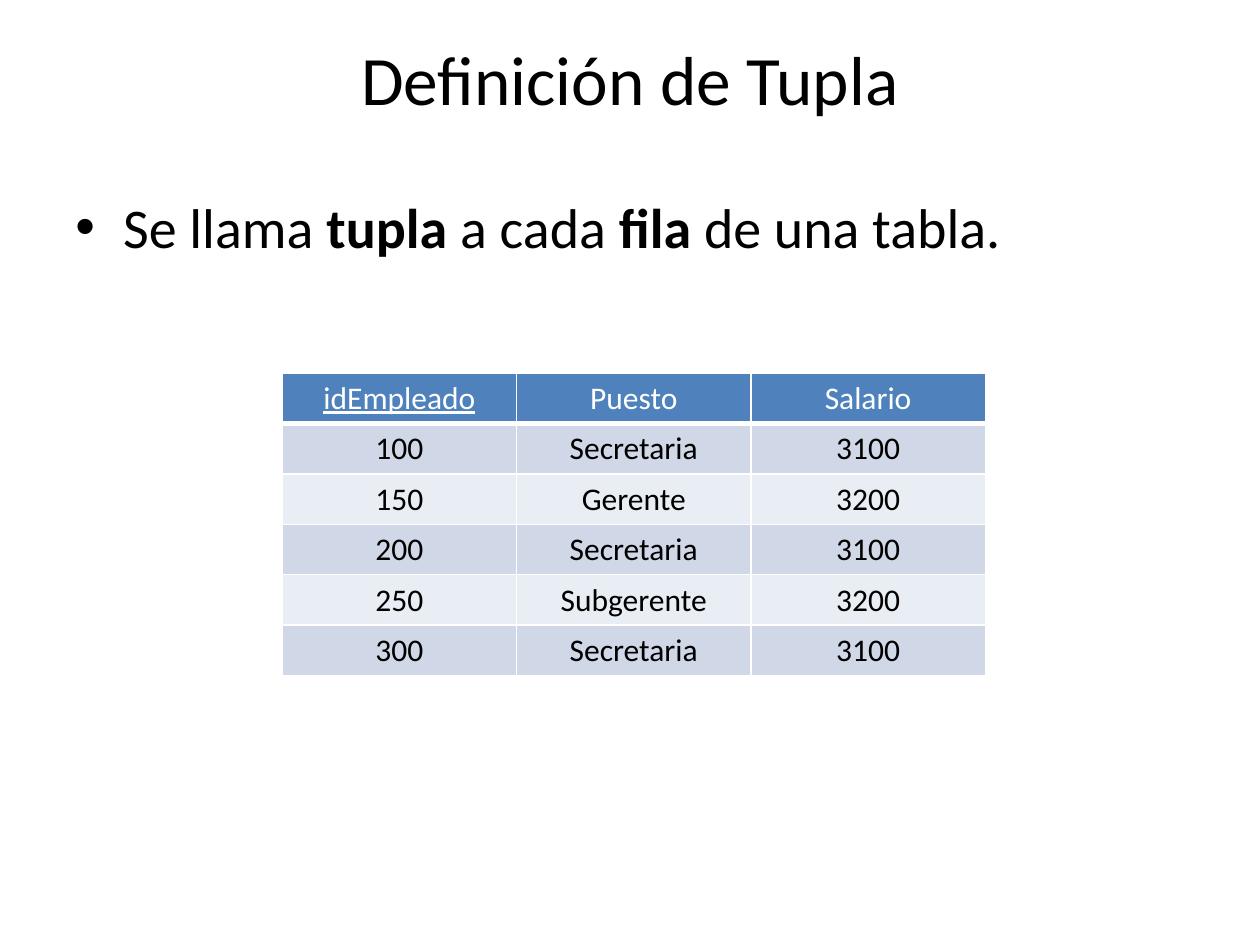
from lxml.etree import SubElement
from pptx import Presentation
from pptx.dml.color import RGBColor
from pptx.enum.text import MSO_ANCHOR, PP_ALIGN
from pptx.oxml.ns import qn
from pptx.util import Inches, Pt

TITLE = "Definición de Tupla"
DEFINITION = [
    ("Se llama ", False),
    ("tupla", True),
    (" a cada ", False),
    ("fila", True),
    (" de una tabla.", False),
]
EMPLOYEES = [
    ("idEmpleado", "Puesto", "Salario"),
    ("100", "Secretaria", "3100"),
    ("150", "Gerente", "3200"),
    ("200", "Secretaria", "3100"),
    ("250", "Subgerente", "3200"),
    ("300", "Secretaria", "3100"),
]
KEY_COLUMN = "idEmpleado"

FONT = "Calibri"
BLACK = RGBColor(0x00, 0x00, 0x00)
WHITE = RGBColor(0xFF, 0xFF, 0xFF)
HEADER_FILL = RGBColor(0x4F, 0x81, 0xBD)
BAND_FILLS = [RGBColor(0xE9, 0xED, 0xF4), RGBColor(0xD0, 0xD8, 0xE8)]
COLUMN_WIDTH = 1.86
ROW_HEIGHT = 0.4


def style_font(paragraph, size, color):
    paragraph.font.name = FONT
    paragraph.font.size = Pt(size)
    paragraph.font.color.rgb = color


def add_text_frame(slide, left, top, width, height):
    box = slide.shapes.add_textbox(Inches(left), Inches(top), Inches(width), Inches(height))
    box.text_frame.word_wrap = True
    return box.text_frame


def add_bullet(paragraph, indent):
    properties = paragraph._p.get_or_add_pPr()
    properties.set("marL", str(Inches(indent)))
    properties.set("indent", str(-Inches(indent)))
    SubElement(properties, qn("a:buFont"), typeface="Arial")
    SubElement(properties, qn("a:buChar"), char="•")


def add_borders(cell, color, bottom_width):
    properties = cell._tc.get_or_add_tcPr()
    widths = {"a:lnL": 1, "a:lnR": 1, "a:lnT": 1, "a:lnB": bottom_width}
    for position, (tag, width) in enumerate(widths.items()):
        line = SubElement(properties, qn(tag), w=str(Pt(width)))
        fill = SubElement(line, qn("a:solidFill"))
        SubElement(fill, qn("a:srgbClr"), val=str(color))
        properties.insert(position, line)


def add_title(slide):
    frame = add_text_frame(slide, 0.5, 0.29, 9, 1.25)
    frame.margin_top = 0
    frame.vertical_anchor = MSO_ANCHOR.TOP
    paragraph = frame.paragraphs[0]
    paragraph.text = TITLE
    paragraph.alignment = PP_ALIGN.CENTER
    style_font(paragraph, 39.6, BLACK)


def add_definition(slide):
    paragraph = add_text_frame(slide, 0.5, 1.48, 9, 4.95).paragraphs[0]
    paragraph.space_before = Pt(6.4)
    style_font(paragraph, 32, BLACK)
    add_bullet(paragraph, 0.38)
    for text, bold in DEFINITION:
        run = paragraph.add_run()
        run.text = text
        run.font.bold = bold


def add_employee_table(slide):
    row_count, column_count = len(EMPLOYEES), len(EMPLOYEES[0])
    table = slide.shapes.add_table(
        row_count, column_count, Inches(2.24), Inches(2.96),
        Inches(COLUMN_WIDTH * column_count), Inches(ROW_HEIGHT * row_count),
    ).table
    for row_index, values in enumerate(EMPLOYEES):
        is_header = row_index == 0
        for column_index, value in enumerate(values):
            cell = table.cell(row_index, column_index)
            cell.fill.solid()
            cell.fill.fore_color.rgb = HEADER_FILL if is_header else BAND_FILLS[row_index % 2]
            add_borders(cell, WHITE, 3 if is_header else 1)
            paragraph = cell.text_frame.paragraphs[0]
            paragraph.text = value
            paragraph.alignment = PP_ALIGN.CENTER
            style_font(paragraph, 18, WHITE if is_header else BLACK)
            paragraph.font.bold = False
            paragraph.font.underline = value == KEY_COLUMN


def main():
    presentation = Presentation()
    presentation.slide_width = Inches(10)
    presentation.slide_height = Inches(7.5)
    slide = presentation.slides.add_slide(presentation.slide_layouts[6])
    add_title(slide)
    add_definition(slide)
    add_employee_table(slide)
    presentation.save("out.pptx")


if __name__ == "__main__":
    main()
